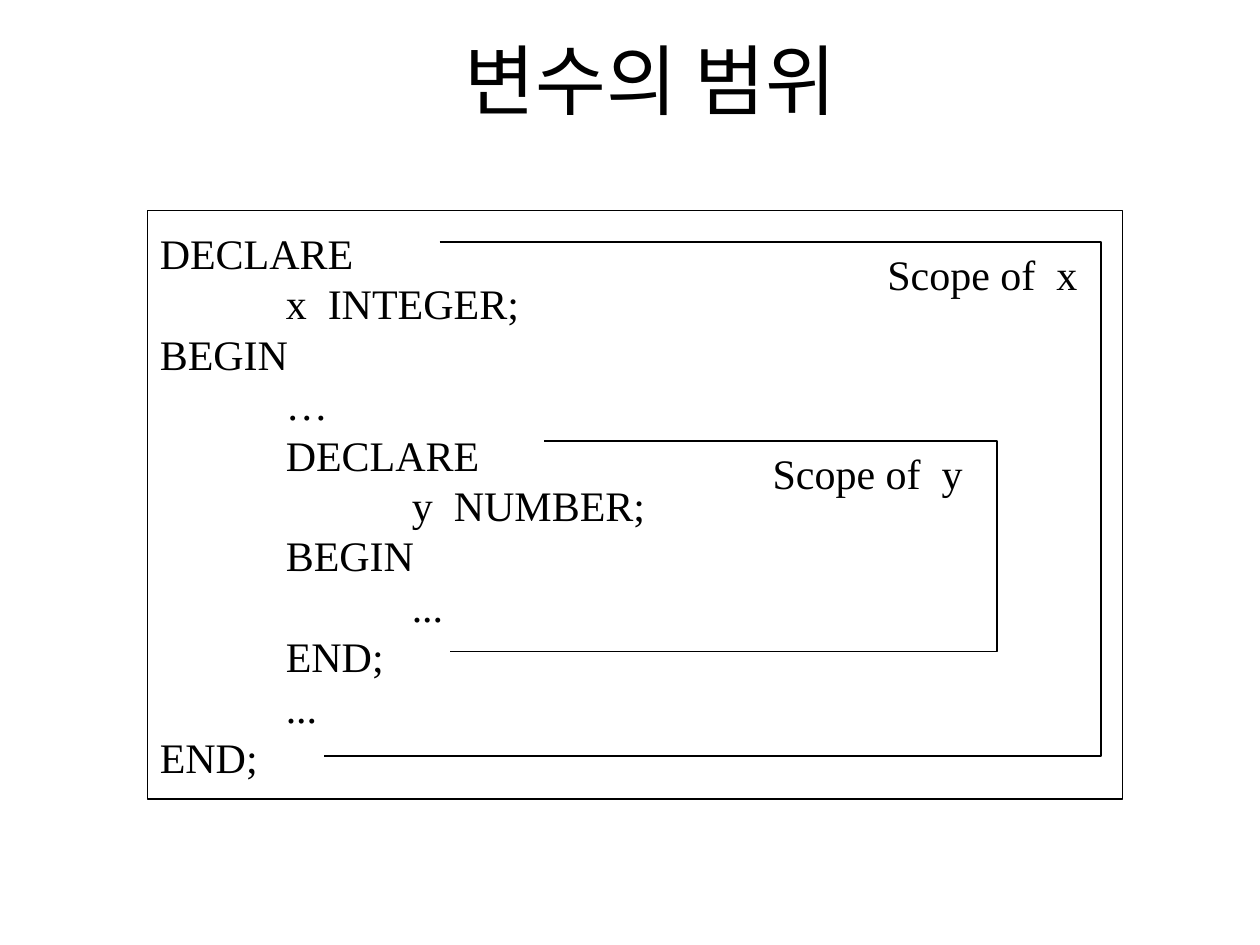
"""Build a slide that shows the scope of variables in nested blocks."""
import lxml.etree
import pptx
import pptx.dml.color
import pptx.enum.shapes
import pptx.enum.text
import pptx.oxml.ns
import pptx.util

Inches = pptx.util.Inches
Pt = pptx.util.Pt
Align = pptx.enum.text.PP_ALIGN
Anchor = pptx.enum.text.MSO_ANCHOR
BLACK = pptx.dml.color.RGBColor(0, 0, 0)
BODY_FONT = {"name": "Times New Roman", "size": Pt(24)}
TITLE_FONT = {"name": "Noto Sans CJK KR", "size": Pt(44)}
CODE_LINES = [
    "DECLARE",
    "\tx  INTEGER;",
    "BEGIN",
    "\t…",
    "\tDECLARE",
    "\t\ty  NUMBER;",
    "\tBEGIN",
    "\t\t...",
    "\tEND;",
    "\t...",
    "END;",
]
SCOPES = [
    {"name": "x", "start": 3.49, "end": 2.57, "right": 8.74, "top": 1.92, "bottom": 6, "label": 6.32},
    {"name": "y", "start": 4.32, "end": 3.57, "right": 7.91, "top": 3.5, "bottom": 5.17, "label": 5.41},
]


def write_text(shape, lines, font, alignment, anchor, spacing=None):
    frame = shape.text_frame
    frame.word_wrap = True
    frame.vertical_anchor = anchor
    for index, line in enumerate(lines):
        paragraph = frame.paragraphs[0] if index == 0 else frame.add_paragraph()
        paragraph.alignment = alignment
        paragraph.line_spacing = spacing
        properties = paragraph._p.get_or_add_pPr()
        tab_list = lxml.etree.SubElement(properties, pptx.oxml.ns.qn("a:tabLst"))
        for position in range(1, 8):
            tab = lxml.etree.SubElement(tab_list, pptx.oxml.ns.qn("a:tab"))
            tab.set("pos", str(Inches(position)))
            tab.set("algn", "l")
        run = paragraph.add_run()
        run.text = line
        for attribute, value in font.items():
            setattr(run.font, attribute, value)
        run.font.color.rgb = BLACK
        east_asian = lxml.etree.SubElement(run.font._element, pptx.oxml.ns.qn("a:ea"))
        east_asian.set("typeface", font["name"])


def draw_outline(shape):
    shape.shadow.inherit = False
    shape.fill.background()
    shape.line.color.rgb = BLACK
    shape.line.width = Pt(1)


presentation = pptx.Presentation()
presentation.slide_width = Inches(10)
presentation.slide_height = Inches(7.5)
slide = presentation.slides.add_slide(presentation.slide_layouts[6])

title = slide.shapes.add_textbox(Inches(0.58), Inches(0), Inches(9.17), Inches(1.25))
write_text(title, ["변수의 범위"], TITLE_FONT, Align.CENTER, Anchor.MIDDLE)

code_box = slide.shapes.add_shape(
    pptx.enum.shapes.MSO_SHAPE.RECTANGLE, Inches(1.17), Inches(1.67), Inches(7.74), Inches(4.67)
)
draw_outline(code_box)
write_text(code_box, CODE_LINES, BODY_FONT, Align.LEFT, Anchor.MIDDLE, Pt(28.8))

for scope in SCOPES:
    top, right, bottom = (Inches(scope[side]) for side in ("top", "right", "bottom"))
    builder = slide.shapes.build_freeform(Inches(scope["start"]), top)
    corners = [(right, top), (right, bottom), (Inches(scope["end"]), bottom)]
    builder.add_line_segments(corners, close=False)
    draw_outline(builder.convert_to_shape())

    label = slide.shapes.add_textbox(Inches(scope["label"]), top, Inches(2.33), Inches(0.5))
    write_text(label, [f"Scope of  {scope['name']}"], BODY_FONT, Align.RIGHT, Anchor.TOP, Pt(28.8))

presentation.save("out.pptx")
